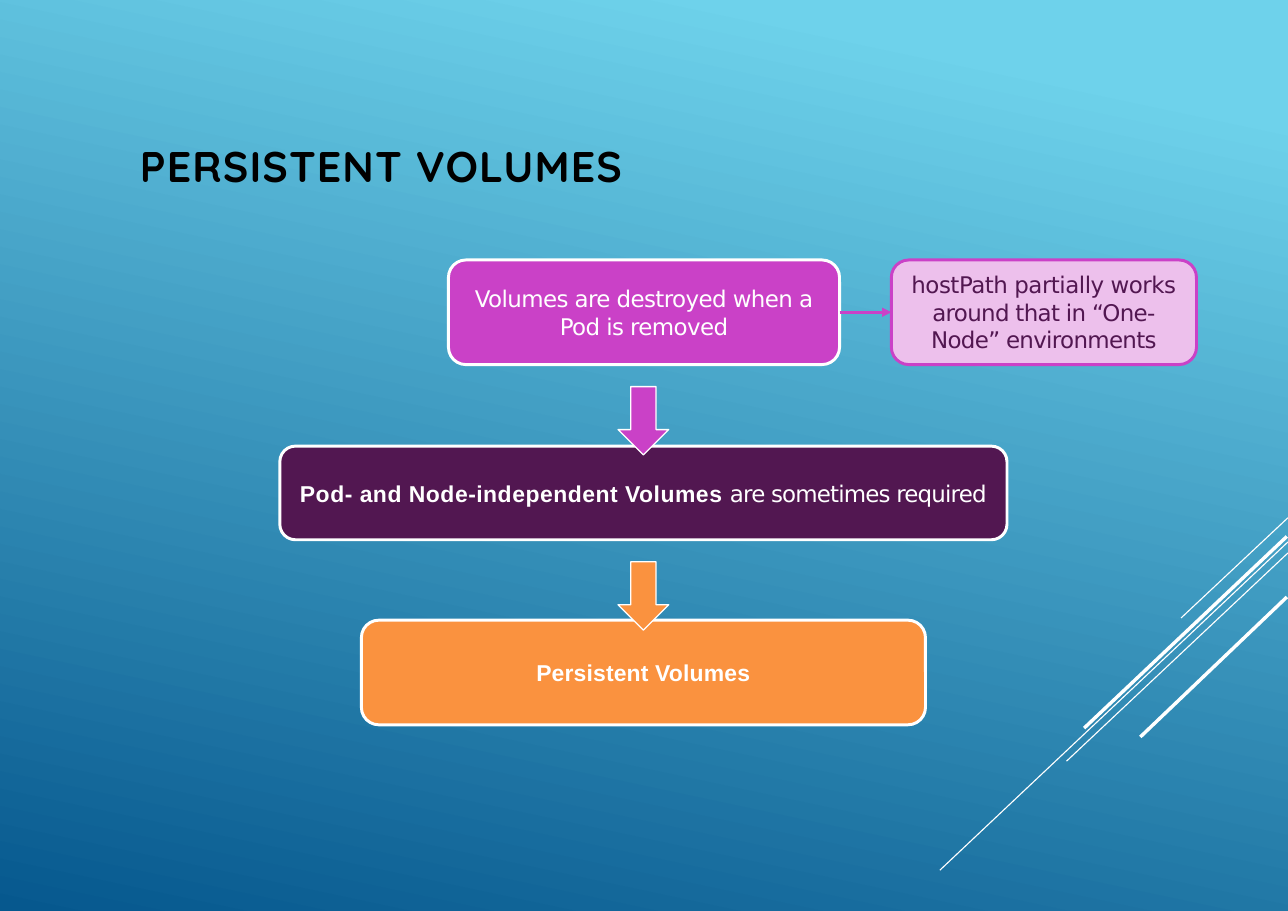
import lxml.etree
import pptx
import pptx.dml.color
import pptx.enum.shapes
import pptx.enum.text
import pptx.oxml.ns
import pptx.util

RGBColor = pptx.dml.color.RGBColor
Shape = pptx.enum.shapes.MSO_SHAPE
Anchor = pptx.enum.text.MSO_ANCHOR
Align = pptx.enum.text.PP_ALIGN

SKY = RGBColor(0x6E, 0xD2, 0xEB)
DEEP_BLUE = RGBColor(0x06, 0x58, 0x8E)
WHITE = RGBColor(0xFF, 0xFF, 0xFF)
BLACK = RGBColor(0x00, 0x00, 0x00)
MAGENTA = RGBColor(0xCA, 0x41, 0xC7)
PALE_PINK = RGBColor(0xED, 0xC0, 0xEC)
PLUM = RGBColor(0x52, 0x17, 0x51)
ORANGE = RGBColor(0xFA, 0x92, 0x3F)

COLUMNS, ROWS = 116.9, 82.7
AXIS = 58.4  # column on which the flow is centred


class FlowSlide:
    """Places elements on a grid of COLUMNS by ROWS square cells."""

    title_font, body_font, strong_font = "Quicksand", "DejaVu Sans", "Arial"
    title_size, body_size = 28, 15
    border, arrow_border = 1.93, 0.86

    def __init__(self, deck):
        self.column = deck.slide_width / COLUMNS
        self.row = deck.slide_height / ROWS
        self.page = deck.slides.add_slide(deck.slide_layouts[5])

    def grid(self, *lengths):
        """Turn alternating columns and rows into slide lengths."""
        units = (self.column, self.row) * 2
        return [round(length * unit) for length, unit in zip(lengths, units)]

    def background(self, start, end, angle):
        fill = self.page.background.fill
        fill.gradient()
        fill.gradient_angle = angle
        for stop, color, position in zip(fill.gradient_stops, (start, end), (0.1, 1)):
            stop.color.rgb = color
            stop.position = position

    def frame(self, shape, anchor=Anchor.MIDDLE, wrap=True):
        """Centre the text vertically without margins; return its paragraph."""
        text = shape.text_frame
        text.margin_left = text.margin_right = text.margin_top = text.margin_bottom = 0
        text.vertical_anchor = anchor
        text.word_wrap = wrap
        text.auto_size = pptx.enum.text.MSO_AUTO_SIZE.NONE
        return text.paragraphs[0]

    def style(self, para, font, size, color, bold=False):
        para.font.name = font
        para.font.size = pptx.util.Pt(size)
        para.font.color.rgb = color
        para.font.bold = bold

    def span(self, para, text, spacing):
        """Add a run whose letter spacing is given in points."""
        span = para.add_run()
        span.text = text
        span._r.get_or_add_rPr().set("spc", str(round(spacing * 100)))
        return span

    def title(self, text, left, top, width, height):
        title = self.page.shapes.title
        title.left, title.top, title.width, title.height = self.grid(
            left, top, width, height)
        para = self.frame(title, wrap=False)
        para.alignment = Align.LEFT
        self.style(para, self.title_font, self.title_size, BLACK, bold=True)
        self.span(para, text, 0.75)

    def shape(self, kind, place, fill, line, weight):
        shape = self.page.shapes.add_shape(kind, *self.grid(*place))
        shape.shadow.inherit = False
        shape.fill.solid()
        shape.fill.fore_color.rgb = fill
        shape.line.color.rgb = line
        shape.line.width = pptx.util.Pt(weight)
        return shape

    def box(self, place, fill, lines, line=WHITE, color=WHITE):
        """Draw a rounded box; each line is a list of (text, spacing, strong)."""
        box = self.shape(Shape.ROUNDED_RECTANGLE, place, fill, line, self.border)
        para = self.frame(box)
        para.alignment = Align.CENTER
        self.style(para, self.body_font, self.body_size, color)
        for number, parts in enumerate(lines):
            if number:
                para.add_line_break()
            for text, spacing, strong in parts:
                span = self.span(para, text, spacing)
                if strong:
                    span.font.name = self.strong_font
                    span.font.bold = True
        return box

    def down_arrow(self, top, fill):
        width, height = 4.6, 6.2
        self.shape(Shape.DOWN_ARROW, (AXIS - width / 2, top, width, height),
                   fill, WHITE, self.arrow_border)

    def line(self, start, end, color, weight):
        line = self.page.shapes.add_connector(
            pptx.enum.shapes.MSO_CONNECTOR.STRAIGHT, *self.grid(*start, *end))
        line.line.color.rgb = color
        line.line.width = pptx.util.Pt(weight)
        lxml.etree.SubElement(line._element.spPr, pptx.oxml.ns.qn("a:effectLst"))
        return line

    def side_arrow(self, source, target, color):
        """Join the right side of one box to the left side of another."""
        arrow = self.line((0, 0), (0, 0), color, self.border)
        arrow.begin_connect(source, 3)
        arrow.end_connect(target, 1)
        lxml.etree.SubElement(arrow.line._get_or_add_ln(),
                              pptx.oxml.ns.qn("a:tailEnd"), type="triangle")


def main():
    deck = pptx.Presentation()
    deck.slide_width = pptx.util.Inches(11.69)
    deck.slide_height = pptx.util.Inches(8.27)

    slide = FlowSlide(deck)
    slide.background(SKY, DEEP_BLUE, 258)
    for start, end, weight in (
        ((116.9, 47), (107.2, 56.1), 0.75),
        ((116.9, 49.2), (85.3, 79), 0.75),
        ((116.9, 50.2), (96.8, 69.1), 0.75),
        ((116.8, 48.7), (98.4, 66.1), 2.25),
        ((116.8, 54.2), (103.5, 66.9), 2.25),
    ):
        slide.line(start, end, WHITE, weight)

    slide.title("PERSISTENT VOLUMES", 12.7, 12.6, 44.4, 4.9)

    problem = slide.box((40.7, 23.6, 35.5, 9.5), MAGENTA, [
        [("Volumes are destroyed when a", -0.4, False)],
        [("Pod is removed", -0.4, False)],
    ])
    slide.box((25.4, 40.5, 66, 8.5), PLUM, [
        [("Pod- and Node-independent Volumes", 0.35, True),
         (" are sometimes required", -0.55, False)],
    ])
    slide.box((32.8, 56.3, 51.2, 9.5), ORANGE, [
        [("Persistent Volumes", 0.1, True)],
    ])
    workaround = slide.box((80.9, 23.6, 27.7, 9.5), PALE_PINK, [
        [("hostPath partially works", -0.3, False)],
        [("around that in “One-", -0.45, False)],
        [("Node” environments", -0.45, False)],
    ], line=MAGENTA, color=PLUM)

    slide.side_arrow(problem, workaround, MAGENTA)
    slide.down_arrow(35.1, MAGENTA)
    slide.down_arrow(51, ORANGE)

    deck.save("out.pptx")


if __name__ == "__main__":
    main()
